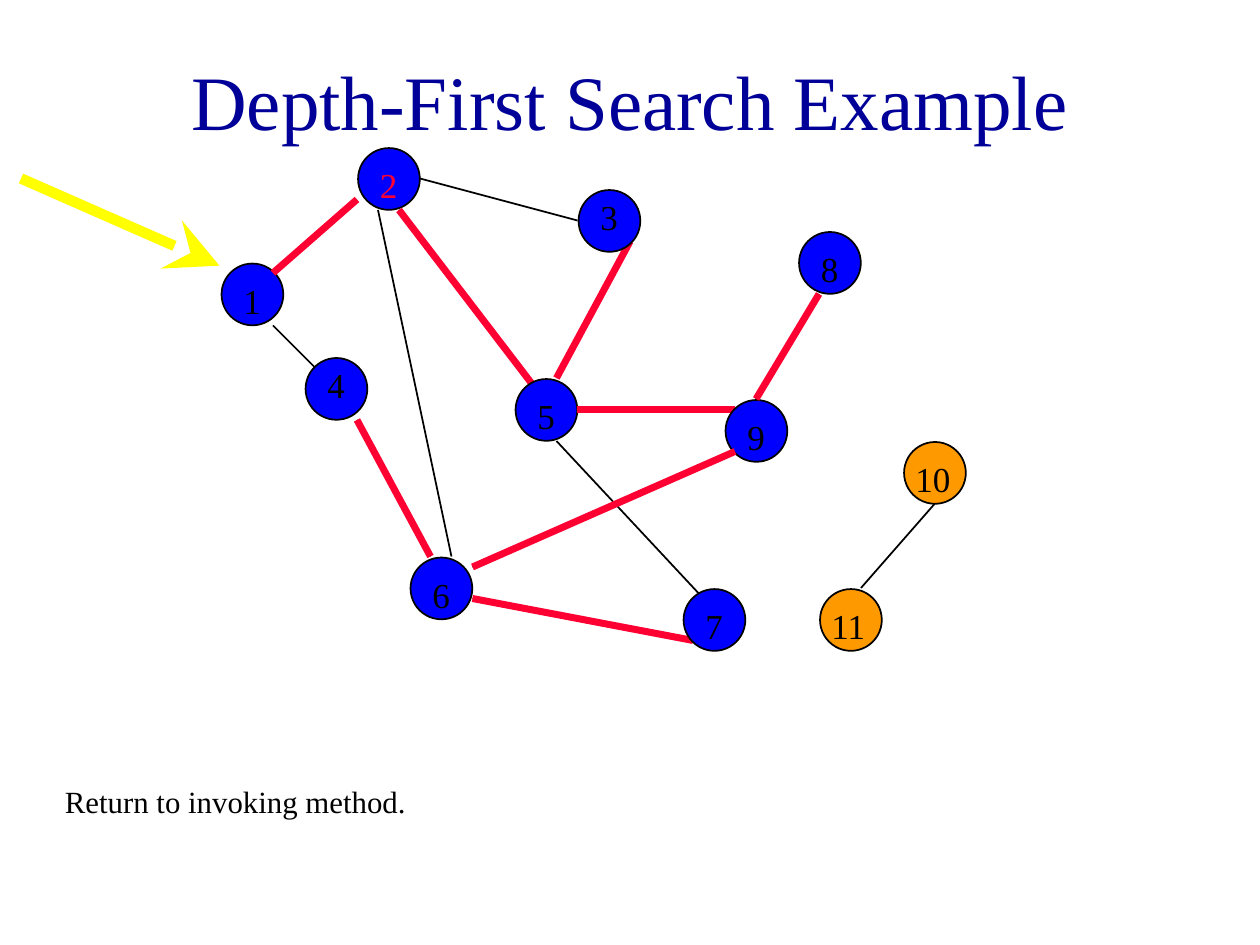
from collections import namedtuple

from lxml.etree import SubElement
from pptx import Presentation
from pptx.dml.color import RGBColor
from pptx.enum.shapes import MSO_CONNECTOR as Connector, MSO_SHAPE as Shape
from pptx.enum.text import MSO_ANCHOR as Anchor, PP_ALIGN as Align
from pptx.oxml.ns import qn
from pptx.util import Inches, Pt

UNIT = Inches(1) / 12
NODE_SIZE, NODE_INSET = 5.88, 0.1
BLACK, BLUE, ORANGE = "000000", "0000FF", "FF9900"
RED, YELLOW, NAVY = "FF0033", "FFFF00", "000099"

Box = namedtuple("Box", "left top width height")
Node = namedtuple("Node", "column row label_dx label_dy", defaults=(1, 1))

NODES = {
    1: Node(21, 25), 2: Node(34, 14), 3: Node(55, 18, 1, 0),
    4: Node(29, 34, 1, 0), 5: Node(49, 36), 6: Node(39, 53),
    7: Node(65, 56), 8: Node(76, 22), 9: Node(69, 38),
    10: Node(86, 42, 0, 1), 11: Node(78, 56, 0, 1),
}
EDGES = {
    (1, 2): ((34, 19), (26, 26)),
    (2, 5): ((38, 20), (51, 37)),
    (1, 4): ((26, 31), (30, 35)),
    (6, 4): ((34, 40), (41, 53)),
    (6, 7): ((45, 57), (66, 61)),
    (5, 3): ((60, 23), (53, 36)),
    (5, 7): ((53, 42), (67, 57)),
    (9, 8): ((78, 28), (72, 38)),
    (10, 11): ((82, 56), (89, 48)),
    (5, 9): ((55, 39), (70, 39)),
    (2, 3): ((40, 17), (55, 21)),
    (2, 6): ((36, 20), (43, 53)),
    (9, 6): ((45, 54), (70, 43)),
}
START, CURRENT = 1, 2
TREE = [(1, 2), (2, 5), (5, 9), (9, 8), (9, 6), (6, 4), (6, 7), (5, 3)]
UNVISITED = [10, 11]


def colour(value):
    return RGBColor.from_string(value)


def emu(*units):
    return [round(unit * UNIT) for unit in units]


def write(holder, text, size=20, color=BLACK, align=Align.LEFT, anchor=Anchor.TOP):
    frame = holder.text_frame
    frame.word_wrap = True
    frame.vertical_anchor = anchor
    paragraph = frame.paragraphs[0]
    paragraph.text = text
    paragraph.alignment = align
    paragraph.space_before = Pt(0)
    font = paragraph.runs[0].font
    font.name, font.size = "Times New Roman", Pt(size)
    font.color.rgb = colour(color)


def draw_line(shapes, box, start, end, color=BLACK, weight=1):
    ends = [value for x, y in (start, end) for value in (box.left + x, box.top + y)]
    line = shapes.add_connector(Connector.STRAIGHT, *emu(*ends))
    line.line.color.rgb = colour(color)
    line.line.width = Pt(weight)
    SubElement(line._element.spPr, qn("a:effectLst"))
    return line


def draw_node(shapes, box, number, fill=BLUE, color=BLACK):
    node = NODES[number]
    left, top = box.left + node.column, box.top + node.row
    group = shapes.add_group_shape().shapes
    circle = group.add_shape(
        Shape.OVAL, *emu(left + NODE_INSET, top + NODE_INSET, NODE_SIZE, NODE_SIZE))
    circle.shadow.inherit = False
    circle.fill.solid()
    circle.fill.fore_color.rgb = colour(fill)
    circle.line.color.rgb = colour(BLACK)
    circle.line.width = Pt(1)
    width = 3 if number < 10 else 6
    label = group.add_textbox(
        *emu(left + node.label_dx, top + node.label_dy, width, 5.2))
    write(label, str(number), color=color)


def draw_graph(shapes, box):
    for number in UNVISITED:
        draw_node(shapes, box, number, fill=ORANGE)
    for start, end in EDGES.values():
        draw_line(shapes, box, start, end)
    draw_node(shapes, box, START)
    for edge in TREE:
        draw_line(shapes, box, *EDGES[edge], color=RED, weight=4)
        reached = edge[1]
        draw_node(shapes, box, reached, color=RED if reached == CURRENT else BLACK)


def draw_pointer(shapes, box):
    pointer = draw_line(shapes, box, (0, 0), (box.width, box.height), YELLOW, 6)
    SubElement(pointer.line._get_or_add_ln(), qn("a:tailEnd"),
               type="stealth", w="lg", len="lg")


def place_title(title, box):
    title.left, title.top, title.width, title.height = emu(*box)
    write(title, "Depth-First Search Example", size=44, color=NAVY,
          align=Align.CENTER, anchor=Anchor.MIDDLE)


def place_caption(shapes, box):
    write(shapes.add_textbox(*emu(*box)), "Return to invoking method.", size=17.6)


def main():
    deck = Presentation()
    deck.slide_width, deck.slide_height = Inches(10), Inches(7.5)
    slide = deck.slides.add_slide(deck.slide_layouts[5])
    place_title(slide.shapes.title, Box(9, 2, 102, 15))
    draw_graph(slide.shapes, Box(0, 0, 120, 90))
    draw_pointer(slide.shapes, Box(2, 17, 18.9, 8.3))
    place_caption(slide.shapes, Box(5, 74, 104, 5))
    deck.save("out.pptx")


if __name__ == "__main__":
    main()
